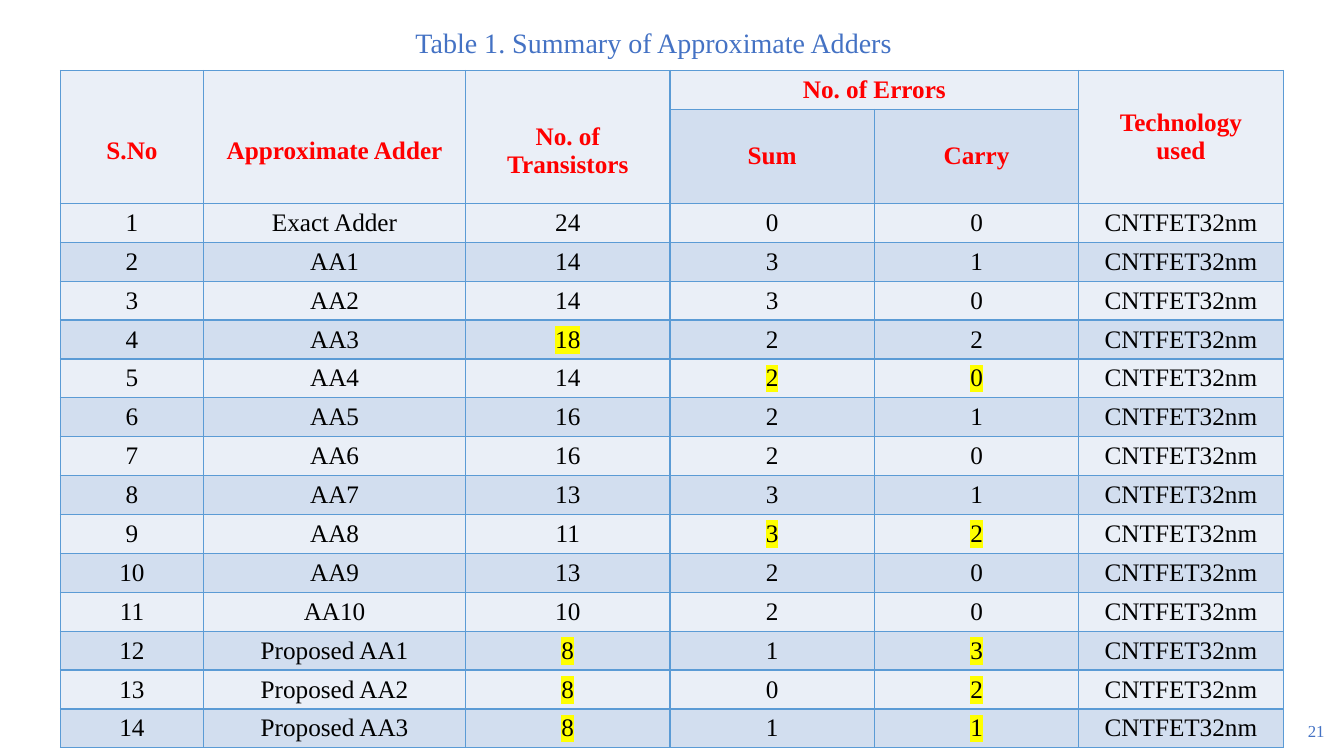
import pptx
import pptx.util
import pptx.dml.color
import pptx.enum.text
import pptx.oxml
import pptx.oxml.ns

Pt = pptx.util.Pt
FONT = "Times New Roman"
COLORS = {
    "light": "EAEFF7", "dark": "D2DEEF", "border": "5B9BD5", "header": "FF0000",
    "body": "000000", "highlight": "FFFF00", "accent": "4472C4",
}
NAMESPACE = pptx.oxml.ns.nsdecls("a")
HEADERS = [
    ["S.No", "Approximate Adder", "No. of Transistors", "No. of Errors", "", "Technology\nused"],
    ["", "", "", "Sum", "Carry", ""],
]
TECHNOLOGY = "CNTFET32nm"
ADDERS = [
    ("Exact Adder", 24, 0, 0), ("AA1", 14, 3, 1), ("AA2", 14, 3, 0), ("AA3", 18, 2, 2),
    ("AA4", 14, 2, 0), ("AA5", 16, 2, 1), ("AA6", 16, 2, 0), ("AA7", 13, 3, 1),
    ("AA8", 11, 3, 2), ("AA9", 13, 2, 0), ("AA10", 10, 2, 0),
    ("Proposed AA1", 8, 1, 3), ("Proposed AA2", 8, 0, 2), ("Proposed AA3", 8, 1, 1),
]
HIGHLIGHTED_COLUMNS = {4: (2,), 5: (3, 4), 9: (3, 4), 12: (2, 4), 13: (2, 4), 14: (2, 4)}
COLUMN_WIDTHS = [102.2, 187.2] + [146] * 4
ROW_HEIGHTS = [27.8, 67] + [27.8] * len(ADDERS)
LINE_HEIGHT = 20


def rgb(name):
    """Return the named colour."""
    return pptx.dml.color.RGBColor.from_string(COLORS[name])


def format_text(text_frame, size, color, alignment, bold=False):
    """Format every run of a text frame."""
    for paragraph in text_frame.paragraphs:
        paragraph.alignment = alignment
        for run in paragraph.runs:
            run.font.size = Pt(size)
            run.font.bold = bold
            run.font.name = FONT
            run.font.color.rgb = rgb(color)


def highlight(run):
    """Put the highlight colour behind a run."""
    fill = run._r.get_or_add_rPr().find(pptx.oxml.ns.qn("a:solidFill"))
    fill.addnext(pptx.oxml.parse_xml(
        f'<a:highlight {NAMESPACE}><a:srgbClr val="{COLORS["highlight"]}"/></a:highlight>'))


def add_borders(cell):
    """Draw a thin line on all four sides of a cell."""
    properties = cell._tc.get_or_add_tcPr()
    for position, side in enumerate("LRTB"):
        properties.insert(position, pptx.oxml.parse_xml(
            f'<a:ln{side} {NAMESPACE} w="{Pt(1)}"><a:solidFill>'
            f'<a:srgbClr val="{COLORS["border"]}"/></a:solidFill></a:ln{side}>'))


def fill_cell(cell, text, row, column):
    """Write and format one cell of the table."""
    is_header = row < len(HEADERS)
    cell.text_frame.text = str(text)
    cell.margin_left = cell.margin_right = Pt(7.9)
    cell.margin_top = cell.margin_bottom = Pt(3.6)
    cell.vertical_anchor = pptx.enum.text.MSO_ANCHOR.MIDDLE
    cell.fill.solid()
    cell.fill.fore_color.rgb = rgb("dark" if row % 2 else "light")
    format_text(cell.text_frame, 18, "header" if is_header else "body",
                pptx.enum.text.PP_ALIGN.CENTER, is_header)
    add_borders(cell)
    if column in HIGHLIGHTED_COLUMNS.get(row - len(HEADERS) + 1, ()):
        highlight(cell.text_frame.paragraphs[0].runs[0])


def add_adder_table(slide, left, top):
    """Add the table of adders with its two-row header."""
    rows = HEADERS + [[number, *adder, TECHNOLOGY] for number, adder in enumerate(ADDERS, 1)]
    table = slide.shapes.add_table(len(rows), len(COLUMN_WIDTHS), Pt(left), Pt(top),
                                   Pt(sum(COLUMN_WIDTHS)), Pt(sum(ROW_HEIGHTS))).table
    table.first_row = table.horz_banding = False
    for column, width in zip(table.columns, COLUMN_WIDTHS):
        column.width = Pt(width)
    for row, height in zip(table.rows, ROW_HEIGHTS):
        row.height = Pt(height)
    for row, texts in enumerate(rows):
        for column, text in enumerate(texts):
            fill_cell(table.cell(row, column), text, row, column)
    for column in (0, 1, 2, 5):
        table.cell(0, column).merge(table.cell(1, column))
    table.cell(0, 3).merge(table.cell(0, 4))
    table.cell(0, 3).vertical_anchor = pptx.enum.text.MSO_ANCHOR.TOP
    for column in range(3):
        table.cell(0, column).margin_top = Pt(3.6 + LINE_HEIGHT)


def add_title(slide, left, top, width, height):
    """Place the table caption in the title placeholder."""
    title = slide.shapes.title
    title.left, title.top, title.width, title.height = map(Pt, (left, top, width, height))
    title.text_frame.text = "Table 1. Summary of Approximate Adders"
    title.text_frame.word_wrap = False
    title.text_frame.auto_size = pptx.enum.text.MSO_AUTO_SIZE.NONE
    format_text(title.text_frame, 20, "accent", pptx.enum.text.PP_ALIGN.CENTER)


def add_page_number(slide, left, top, width, height):
    """Add the page number at the right of its box."""
    shape = slide.shapes.add_textbox(*map(Pt, (left, top, width, height)))
    shape.text_frame.word_wrap = True
    shape.text_frame.text = "21"
    format_text(shape.text_frame, 12, "accent", pptx.enum.text.PP_ALIGN.RIGHT)


def main():
    """Build and save the presentation."""
    presentation = pptx.Presentation()
    presentation.slide_width, presentation.slide_height = Pt(960), Pt(540)
    slide = presentation.slides.add_slide(presentation.slide_layouts[5])
    add_adder_table(slide, 43.2, 50.4)
    add_page_number(slide, 737.3, 511.2, 216, 28.8)
    add_title(slide, 288.7, 14.4, 356.4, 31.7)
    presentation.save("out.pptx")


if __name__ == "__main__":
    main()
